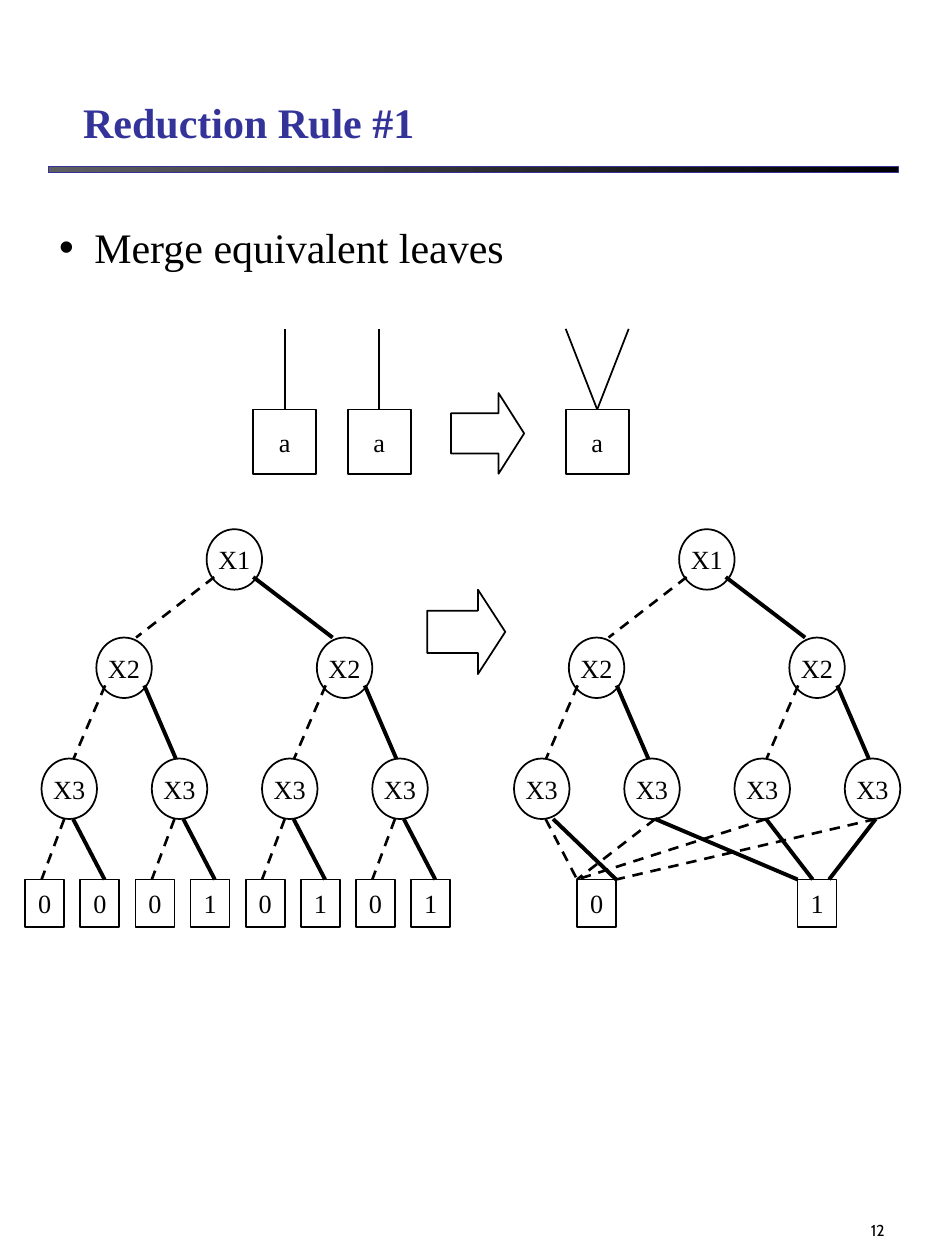
from dataclasses import dataclass

from lxml.etree import SubElement
from pptx import Presentation
from pptx.dml.color import RGBColor
from pptx.enum.dml import MSO_LINE
from pptx.enum.shapes import MSO_CONNECTOR, MSO_SHAPE
from pptx.enum.text import MSO_ANCHOR, PP_ALIGN
from pptx.oxml.ns import qn
from pptx.util import Inches, Pt


@dataclass(frozen=True)
class Theme:
    ink: RGBColor = RGBColor(0x00, 0x00, 0x00)
    accent: RGBColor = RGBColor(0x33, 0x33, 0x99)
    rule_start: RGBColor = RGBColor(0x5F, 0x5F, 0x5F)
    serif: str = "Times New Roman"
    sans: str = "Cabin"
    heading: Pt = Pt(24)
    label: Pt = Pt(15)
    number: Pt = Pt(9)
    outline: Pt = Pt(1)
    low_edge: Pt = Pt(1.5)
    high_edge: Pt = Pt(2.25)


T = Theme()


def write(shape, text, align, anchor, wrap=True, **font):
    """Fill the shape with one formatted paragraph and return it."""
    tf = shape.text_frame
    tf.word_wrap = wrap
    tf.vertical_anchor = anchor
    p = tf.paragraphs[0]
    p.alignment = align
    r = p.add_run()
    r.text = text
    style = {"name": T.serif, "size": T.heading, "bold": False} | font
    r.font.color.rgb = style.pop("color", T.ink)
    for name, value in style.items():
        setattr(r.font, name, value)
    return p


def add_line(shapes, x1, y1, x2, y2, width, dashed=False):
    line = shapes.add_connector(MSO_CONNECTOR.STRAIGHT, *map(Inches, (x1, y1, x2, y2)))
    line.line.color.rgb = T.ink
    line.line.width = width
    if dashed:
        line.line.dash_style = MSO_LINE.DASH
    SubElement(line._element.spPr, qn("a:effectLst"))
    return line


prs = Presentation()
prs.slide_width, prs.slide_height = Inches(7.5), Inches(10)
s = prs.slides.add_slide(prs.slide_layouts[5])

# Heading, rule, bullet and page number
rule = s.shapes.add_shape(MSO_SHAPE.RECTANGLE, *map(Inches, (0.38, 1.32, 6.75, 0.05)))
rule.shadow.inherit = False
rule.fill.gradient()
rule.fill.gradient_angle = 0
for stop, color, position in zip(rule.fill.gradient_stops, (T.rule_start, T.ink), (0, 1)):
    stop.color.rgb = color
    stop.position = position
rule.line.color.rgb = T.accent
rule.line.width = Pt(0.25)

title = s.shapes.title
title.left, title.top, title.width, title.height = map(Inches, (0.56, 0.59, 6.38, 0.63))
write(title, "Reduction Rule #1", PP_ALIGN.LEFT, MSO_ANCHOR.BOTTOM, color=T.accent, bold=True)

body = s.shapes.add_textbox(*map(Inches, (0.37, 1.71, 6.38, 0.5)))
p = write(body, "Merge equivalent leaves", PP_ALIGN.LEFT, MSO_ANCHOR.TOP)
p.space_before = Pt(4.8)
pPr = p._p.get_or_add_pPr()
pPr.set("marL", str(Inches(0.28)))
pPr.set("indent", str(Inches(-0.28)))
SubElement(pPr, qn("a:buFont"), typeface="Arial")
SubElement(pPr, qn("a:buChar"), char="•")

page = s.shapes.add_textbox(*map(Inches, (5.56, 9.22, 1.56, 0.67)))
write(page, "12", PP_ALIGN.RIGHT, MSO_ANCHOR.BOTTOM, name=T.sans, size=T.number)

# Both decision trees share their inner nodes; only the leaves differ
trees = s.shapes.add_group_shape().shapes
merge = s.shapes.add_group_shape().shapes
STEP = 0.4375
TREE_GAP = 3.75
LEAF_Y = 6.98
# name, top, first left, spacing, count, edge start y, edge end y,
# (low edge start, end), (high edge start, end) measured from the node's left
LEVELS = [
    ("X1", 4.2, 1.64, 0, 1, 4.58, 5.06, (0.06, -0.56), (0.37, 1.0)),
    ("X2", 5.06, 0.765, 4 * STEP, 2, 5.44, 6.02, (0.07, -0.18), (0.38, 0.63)),
    ("X3", 6.02, 0.33, 2 * STEP, 4, 6.5, LEAF_Y, (0.18, 0), (0.25, 0.5)),
]
figures = []  # group, preset, left, top, width, height, text
edges = []  # x1, y1, x2, y2, dashed
for tree_x in (0, TREE_GAP):
    for name, top, first, spacing, count, y1, y2, low, high in LEVELS:
        for i in range(count):
            x = tree_x + first + i * spacing
            figures.append((trees, MSO_SHAPE.OVAL, x, top, 0.44, 0.48, name))
            if name == "X3" and tree_x:
                continue  # the reduced tree has its own leaf edges
            for (start, end), dashed in ((low, True), (high, False)):
                edges.append((x + start, y1, x + end, y2, dashed))

leaves = [(0.2 + i * STEP, value) for i, value in enumerate("00010101")]
leaves += [(4.58, "0"), (6.33, "1")]
for x, value in leaves:
    figures.append((trees, MSO_SHAPE.RECTANGLE, x, LEAF_Y, 0.31, 0.38, value))

for x1, x2, dashed in [
    (5.2, 6.33, False), (6.08, 6.45, False), (6.95, 6.58, False), (4.39, 4.89, False),
    (4.33, 4.58, True), (5.2, 4.58, True), (6.08, 4.58, True), (6.95, 4.89, True),
]:
    edges.append((x1, 6.5, x2, LEAF_Y, dashed))

# Merge rule: each box with the upper ends of its incoming lines
BOXES = [(2.01, (2.26,)), (2.76, (3.01,)), (4.49, (4.49, 4.99))]
figures += [(merge, MSO_SHAPE.RECTANGLE, x, 3.25, 0.5, 0.51, "a") for x, _ in BOXES]
figures += [
    (trees, MSO_SHAPE.RIGHT_ARROW, 3.39, 4.68, 0.62, 0.67, ""),
    (merge, MSO_SHAPE.RIGHT_ARROW, 3.58, 3.12, 0.58, 0.64, ""),
]

boxes = {}
for group, preset, x, y, w, h, text in figures:
    shape = group.add_shape(preset, *map(Inches, (x, y, w, h)))
    shape.shadow.inherit = False
    shape.fill.background()
    shape.line.color.rgb = T.ink
    shape.line.width = T.outline
    if preset == MSO_SHAPE.RIGHT_ARROW:
        shape.adjustments[1] = 0.35
    else:
        write(shape, text, PP_ALIGN.CENTER, MSO_ANCHOR.MIDDLE, wrap=False, size=T.label)
    if text == "a":
        boxes[x] = shape

for x1, y1, x2, y2, dashed in edges:
    add_line(trees, x1, y1, x2, y2, T.low_edge if dashed else T.high_edge, dashed)

for x, ends in BOXES:
    for end in ends:
        line = add_line(merge, x + 0.25, 3.25, end, 2.61, T.outline)
        line.begin_connect(boxes[x], 0)

prs.save("out.pptx")
